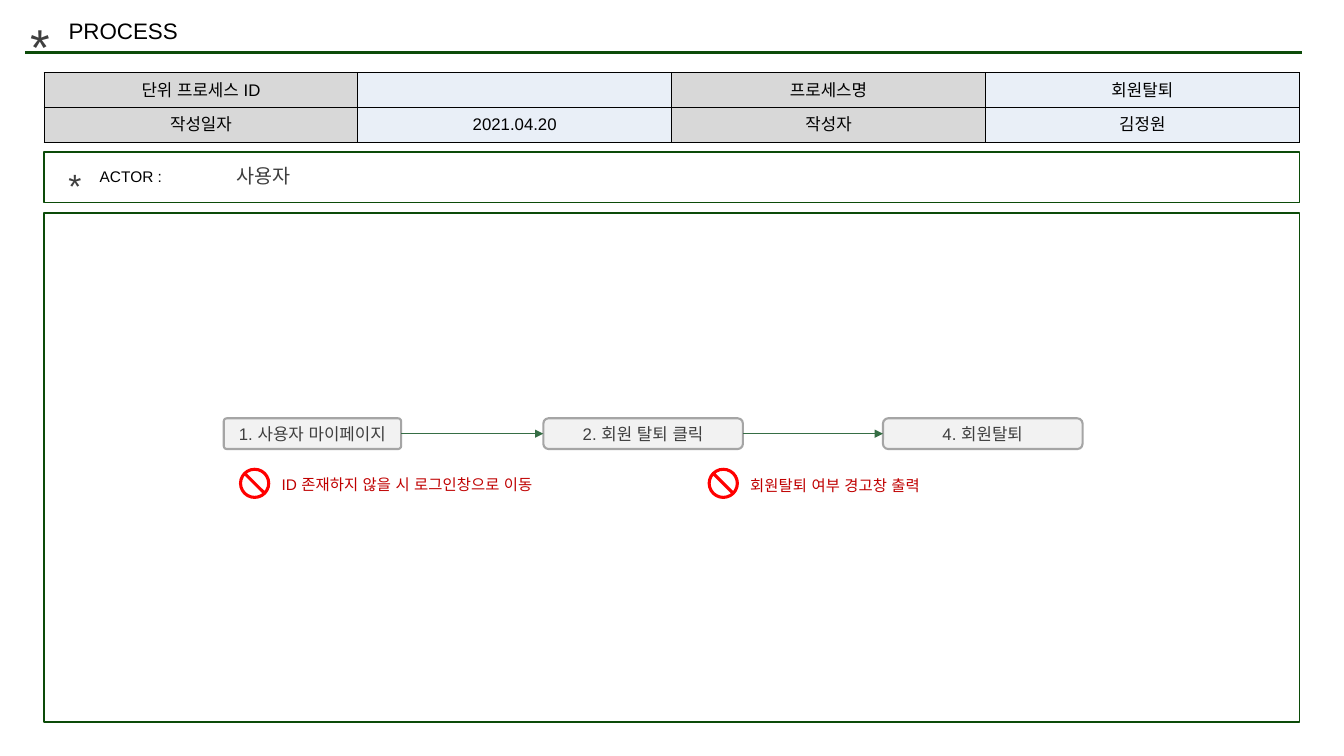
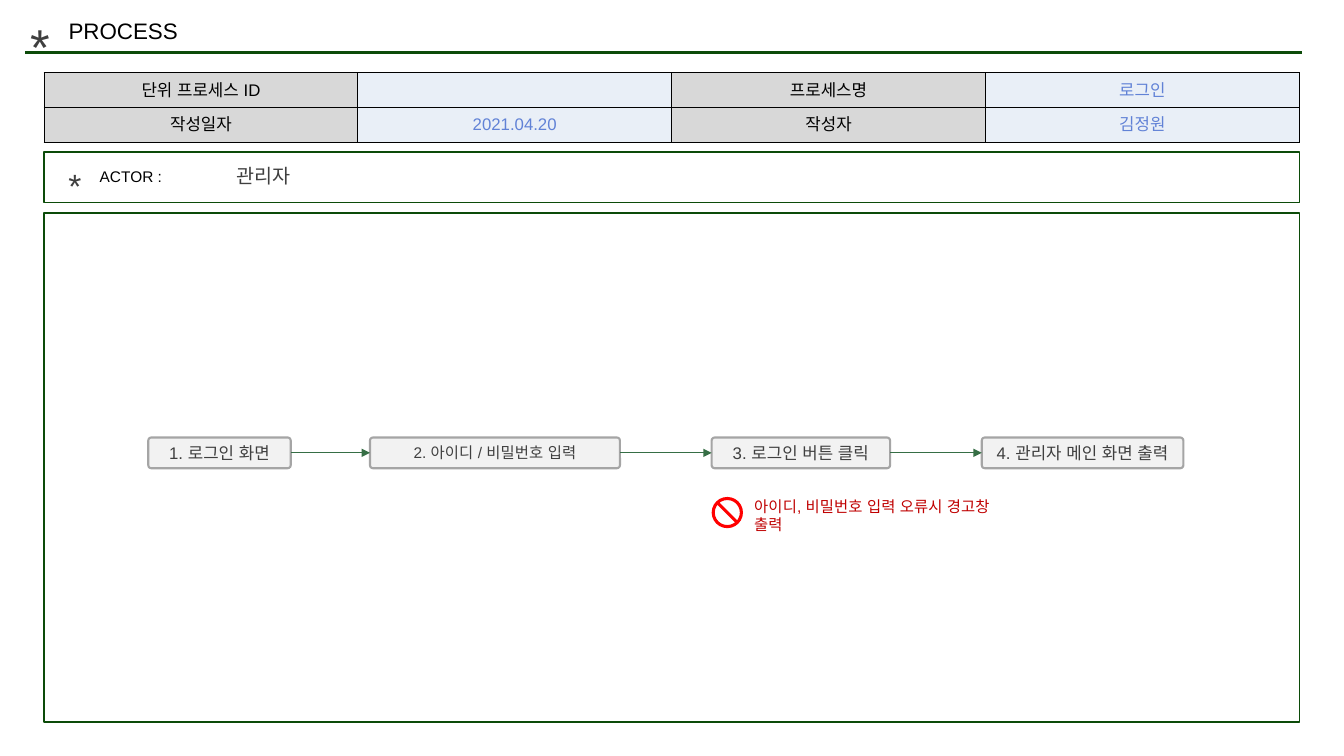
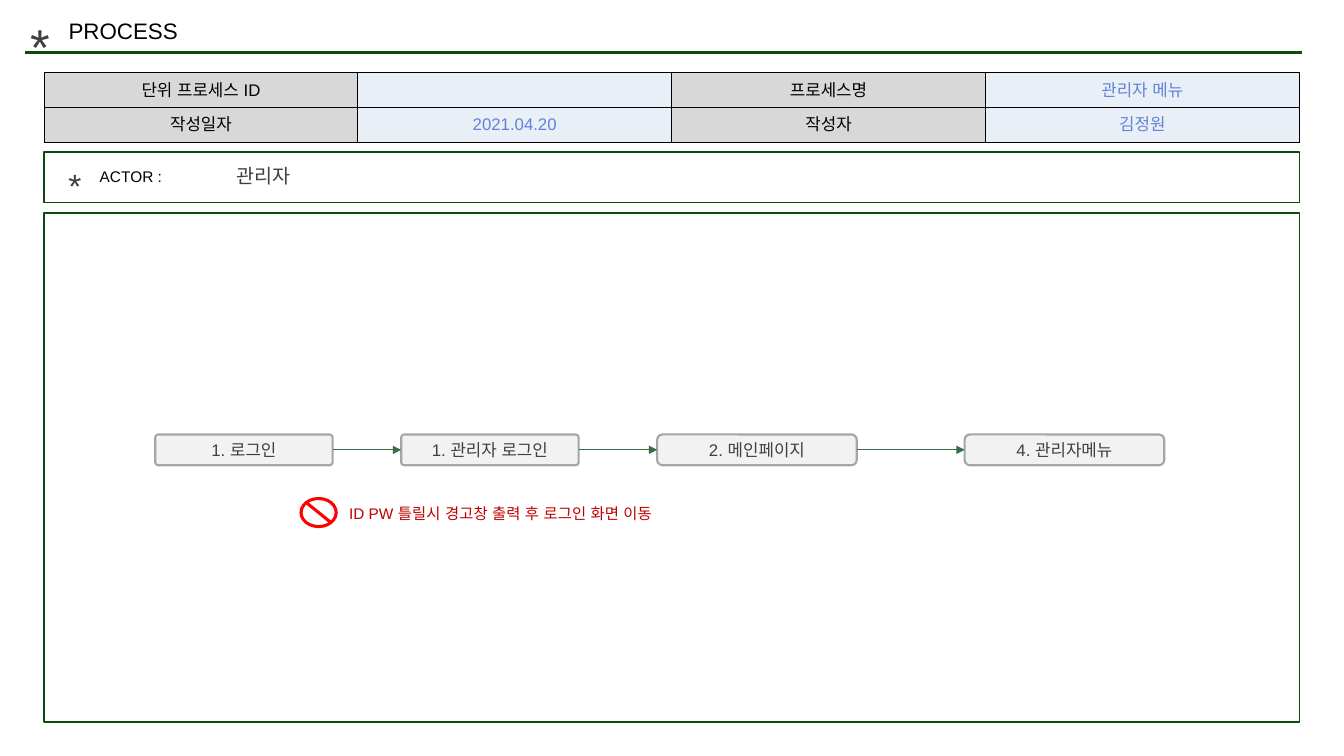
from dataclasses import dataclass
from typing import Any, NamedTuple

from lxml.etree import SubElement
from pptx import Presentation
from pptx.dml.color import RGBColor
from pptx.enum.shapes import MSO_CONNECTOR as Connector, MSO_SHAPE as Preset
from pptx.enum.text import MSO_ANCHOR as Anchor, MSO_AUTO_SIZE as AutoSize, PP_ALIGN as Align
from pptx.oxml.ns import qn
from pptx.util import Inches, Pt

# Shared look
FONT = "Arial"
BLACK, DARK, GREEN, RED = "000000", "3F3F3F", "0C4B09", "FF0000"
ARROW_GREEN, WARNING_RED, ENTRY_BLUE = "366E45", "C00000", "6182D6"
LABEL_FILL, ENTRY_FILL, STEP_FILL, STEP_LINE = "D8D8D8", "E9EFF7", "F2F2F2", "A5A5A5"

# The slide is a grid of 100 columns by 100 rows
SLIDE_WIDTH, SLIDE_HEIGHT = Inches(13.33), Inches(7.5)
PANEL_LEFT, PANEL_WIDTH = 3.28, 93.4
TABLE_ROW = 4.6
STEP_HEIGHT = 4.07
SIGN_HEIGHT = 4.13


class Box(NamedTuple):
    left: float
    top: float
    width: float
    height: float

    def lengths(self) -> tuple[int, int, int, int]:
        return (column(self.left), row(self.top), column(self.width), row(self.height))


@dataclass(frozen=True)
class Step:
    text: str
    left: float
    width: float
    size: float = 12
    corner: float = 0.1


@dataclass(frozen=True)
class Caution:
    text: str
    left: float
    top: float
    text_top: float
    text_width: float
    sign_width: float = 2.33


@dataclass(frozen=True)
class Process:
    name: str
    actor: str
    flow_top: float
    steps: list[Step]
    cautions: list[Caution]
    entry_color: str = ENTRY_BLUE


PROCESSES = [
    Process("회원탈퇴", "사용자", 55.33, [
        Step("1. 사용자 마이페이지", 16.65, 13.2),
        Step("2. 회원 탈퇴 클릭", 40.43, 14.85, corner=0.17),
        Step("4. 회원탈퇴", 65.7, 14.85, corner=0.17),
    ], [
        Caution("회원탈퇴 여부 경고창 출력", 52.65, 61.87, 62.27, 22.95),
        Caution("ID 존재하지 않을 시 로그인창으로 이동", 17.78, 61.87, 62.13, 22.13),
    ], BLACK),
    Process("로그인", "관리자", 57.87, [
        Step("1. 로그인 화면", 11.03, 10.6),
        Step("2. 아이디 / 비밀번호 입력", 27.53, 18.6, size=11),
        Step("3. 로그인 버튼 클릭", 52.95, 13.28),
        Step("4. 관리자 메인 화면 출력", 73.05, 15),
    ], [
        Caution("아이디, 비밀번호 입력 오류시 경고창 출력", 52.95, 65.73, 65.07, 19.58),
    ]),
    Process("관리자 메뉴", "관리자", 57.47, [
        Step("1. 로그인", 11.55, 13.2),
        Step("1. 관리자 로그인", 29.85, 13.2),
        Step("2. 메인페이지", 48.9, 14.85, corner=0.17),
        Step("4. 관리자메뉴", 71.78, 14.85, corner=0.17),
    ], [
        Caution("ID PW 틀릴시 경고창 출력 후 로그인 화면 이동", 22.28, 65.73, 66, 27.15, 2.85),
    ]),
]


# Helpers
def column(count: float) -> int:
    return round(SLIDE_WIDTH * count / 100)


def row(count: float) -> int:
    return round(SLIDE_HEIGHT * count / 100)


def color(value: str) -> RGBColor:
    return RGBColor.from_string(value)


def apply(target: Any, values: dict[str, Any]) -> None:
    for name, value in values.items():
        setattr(target, name, value)


def write(frame: Any, text: str, size: float, text_color: str,
          align: Align = Align.LEFT) -> None:
    paragraph = frame.paragraphs[0]
    paragraph.alignment = align
    run = paragraph.add_run()
    run.text = text
    apply(run.font, {"name": FONT, "size": Pt(size), "bold": False})
    run.font.color.rgb = color(text_color)


def set_frame(frame: Any, horizontal: float, vertical: float, anchor: Anchor) -> None:
    apply(frame, {
        "word_wrap": True, "auto_size": AutoSize.NONE, "vertical_anchor": anchor,
        "margin_left": Inches(horizontal), "margin_right": Inches(horizontal),
        "margin_top": Inches(vertical), "margin_bottom": Inches(vertical),
    })


def add_text(slide: Any, box: Box, text: str, size: float, text_color: str = DARK) -> None:
    frame = slide.shapes.add_textbox(*box.lengths()).text_frame
    set_frame(frame, 0.1, 0.05, Anchor.TOP)
    write(frame, text, size, text_color)


def add_preset(slide: Any, preset: Preset, box: Box, fill: str = "",
               line: str = "", line_width: float = 1) -> Any:
    shape = slide.shapes.add_shape(preset, *box.lengths())
    shape.shadow.inherit = False
    if fill:
        shape.fill.solid()
        shape.fill.fore_color.rgb = color(fill)
    else:
        shape.fill.background()
    if line:
        shape.line.color.rgb = color(line)
        shape.line.width = Pt(line_width)
    else:
        shape.line.fill.background()
    return shape


def style_connector(connector: Any, line: str, width: float) -> None:
    connector.line.color.rgb = color(line)
    connector.line.width = Pt(width)
    SubElement(connector.element.spPr, qn("a:effectLst"))


# Parts of a slide
def add_rule(slide: Any) -> None:
    """Draw the title rule and hand it to the layout that every slide uses."""
    rule = slide.shapes.add_connector(
        Connector.STRAIGHT, column(1.88), row(6.93), column(96.9), row(6.93))
    style_connector(rule, GREEN, 2.25)
    slide.slide_layout.shapes.element.append(rule.element)


def add_heading(slide: Any) -> None:
    title = slide.shapes.title
    names = ("left", "top", "width", "height")
    apply(title, dict(zip(names, Box(4.35, 1.6, 32.4, 4.93).lengths())))
    set_frame(title.text_frame, 0.1, 0.05, Anchor.TOP)
    write(title.text_frame, "PROCESS", 16, BLACK)
    add_text(slide, Box(1.5, 1.33, 3.9, 9.47), "*", 36)


def add_summary(slide: Any, process: Process) -> None:
    rows = [["단위 프로세스 ID", "", "프로세스명", process.name],
            ["작성일자", "2021.04.20", "작성자", "김정원"]]
    box = Box(PANEL_LEFT, 9.65, PANEL_WIDTH, TABLE_ROW * len(rows))
    frame = slide.shapes.add_table(len(rows), len(rows[0]), *box.lengths())
    table = frame.table
    apply(table, {"first_row": False, "horz_banding": False})
    for row_index, texts in enumerate(rows):
        for column_index, text in enumerate(texts):
            cell = table.cell(row_index, column_index)
            is_entry = column_index % 2 == 1
            cell.vertical_anchor = Anchor.MIDDLE
            cell.fill.solid()
            cell.fill.fore_color.rgb = color(ENTRY_FILL if is_entry else LABEL_FILL)
            if text:
                write(cell.text_frame, text, 12,
                      process.entry_color if is_entry else BLACK, Align.CENTER)
    for cell_element in frame.element.iter(qn("a:tc")):
        finish_cell(cell_element)


def finish_cell(cell_element: Any) -> None:
    """Draw the borders, and keep a blank cell from stretching its row."""
    properties = cell_element.find(qn("a:tcPr"))
    for index, side in enumerate(("lnL", "lnR", "lnT", "lnB")):
        border = SubElement(properties, qn(f"a:{side}"), w=str(Pt(0.75)))
        fill = SubElement(border, qn("a:solidFill"))
        SubElement(fill, qn("a:srgbClr"), val=BLACK)
        properties.insert(index, border)
    for paragraph in cell_element.iter(qn("a:p")):
        if paragraph.find(qn("a:r")) is None:
            SubElement(paragraph, qn("a:endParaRPr"), sz="1200")


def add_panels(slide: Any, actor: str) -> None:
    add_text(slide, Box(4.35, 21.2, 3.9, 6.67), "*", 24)
    add_text(slide, Box(6.68, 21.47, 9.98, 3.87), "ACTOR :", 11, BLACK)
    for top, height in ((20.13, 6.67), (28.2, 67.33)):
        box = Box(PANEL_LEFT, top, PANEL_WIDTH, height)
        add_preset(slide, Preset.RECTANGLE, box, line=GREEN)
    add_text(slide, Box(16.88, 21.07, 32.4, 4.53), actor, 14)


def add_step(slide: Any, step: Step, top: float) -> Any:
    box = Box(step.left, top, step.width, STEP_HEIGHT)
    shape = add_preset(slide, Preset.ROUNDED_RECTANGLE, box, STEP_FILL, STEP_LINE, 1.5)
    shape.adjustments[0] = step.corner
    set_frame(shape.text_frame, 0.04, 0.04, Anchor.MIDDLE)
    write(shape.text_frame, step.text, step.size, DARK, Align.CENTER)
    return shape


def add_flow(slide: Any, process: Process) -> None:
    shapes = [add_step(slide, step, process.flow_top) for step in process.steps]
    right_side, left_side = 3, 1
    for start, end in zip(shapes, shapes[1:]):
        arrow = slide.shapes.add_connector(Connector.STRAIGHT, 0, 0, 0, 0)
        arrow.begin_connect(start, right_side)
        arrow.end_connect(end, left_side)
        style_connector(arrow, ARROW_GREEN, 0.75)
        outline = arrow.element.spPr.find(qn("a:ln"))
        SubElement(outline, qn("a:tailEnd"), type="triangle")


def add_caution(slide: Any, caution: Caution) -> None:
    box = Box(caution.left, caution.top, caution.sign_width, SIGN_HEIGHT)
    sign = add_preset(slide, Preset.NO_SYMBOL, box, RED)
    sign.adjustments[0] = 0.1
    text_left = caution.left + caution.sign_width + 0.1
    add_text(slide, Box(text_left, caution.text_top, caution.text_width, 3.87),
             caution.text, 11, WARNING_RED)


def set_korean_font(slide: Any) -> None:
    for latin in list(slide.element.iter(qn("a:latin"))):
        korean = SubElement(latin.getparent(), qn("a:ea"), typeface=FONT)
        latin.addnext(korean)


# Build the presentation
presentation = Presentation()
apply(presentation, {"slide_width": SLIDE_WIDTH, "slide_height": SLIDE_HEIGHT})
title_only = presentation.slide_layouts[5]

for number, process in enumerate(PROCESSES):
    slide = presentation.slides.add_slide(title_only)
    if number == 0:
        add_rule(slide)
    add_heading(slide)
    add_summary(slide, process)
    add_panels(slide, process.actor)
    add_flow(slide, process)
    for caution in process.cautions:
        add_caution(slide, caution)
    set_korean_font(slide)

presentation.save("out.pptx")
